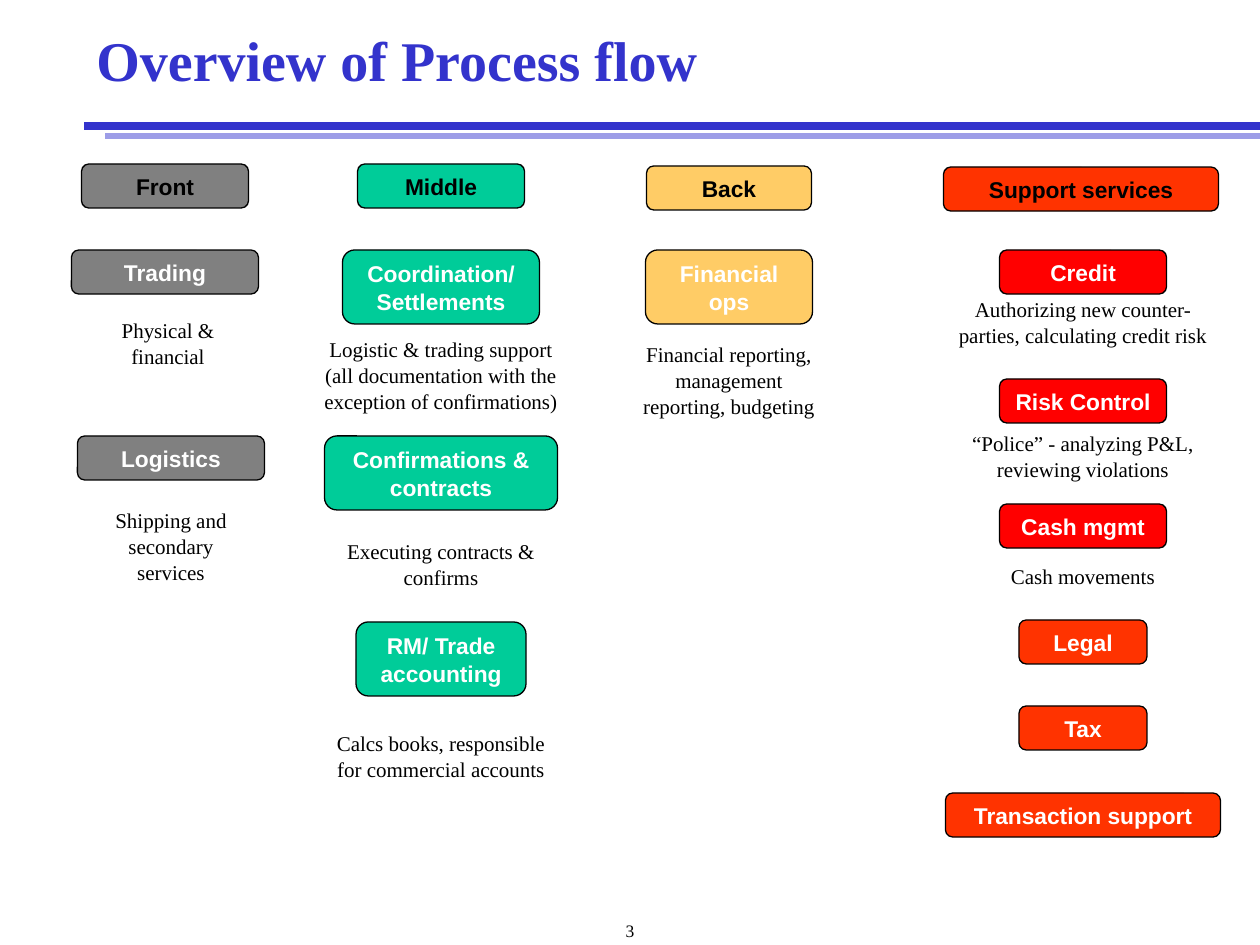
"""Build the process flow overview slide."""
from dataclasses import dataclass

import lxml.etree
import pptx
import pptx.dml.color
import pptx.enum.shapes
import pptx.enum.text
import pptx.oxml.ns
import pptx.util

PIXEL = 914400 / 126
CENTER = pptx.enum.text.PP_ALIGN.CENTER
LEFT = pptx.enum.text.PP_ALIGN.LEFT
TOP = pptx.enum.text.MSO_ANCHOR.TOP
MIDDLE = pptx.enum.text.MSO_ANCHOR.MIDDLE


@dataclass(frozen=True)
class Style:
    font: str
    size: int
    color: str
    bold: bool = False
    spacing: float = 1.0
    align: int = CENTER
    anchor: int = TOP


@dataclass(frozen=True)
class Theme:
    title = Style("Times New Roman", 32, "3333CC", True, 0.9, LEFT, MIDDLE)
    header = Style("Arial", 13, "000000", True, 1.04, anchor=MIDDLE)
    step = Style("Arial", 13, "FFFFFF", True, 1.04, anchor=MIDDLE)
    note = Style("Times New Roman", 12, "000000", spacing=1.04)
    number = Style("Times New Roman", 10, "000000")
    rule = "3333CC"
    rule_light = "9D9DE7"
    outline = "000000"
    front = "808080"
    middle = "00CC99"
    back = "FFCC66"
    support = "FF3300"
    control = "FF0000"


@dataclass(frozen=True)
class Card:
    text: str
    center: int
    top: int
    width: int
    fill: str
    lines: int = 1
    style: Style = Theme.step


@dataclass(frozen=True)
class Note:
    text: str
    center: int
    top: int
    width: int
    lines: int = 2


@dataclass(frozen=True)
class Rule:
    left: int
    top: int
    color: str
    weight: float


RULES = [
    Rule(84, 126, Theme.rule, 4.5),
    Rule(105, 136, Theme.rule_light, 3),
]
CARDS = [
    Card("Front", 165, 164, 167, Theme.front, style=Theme.header),
    Card("Trading", 165, 250, 187, Theme.front),
    Card("Logistics", 171, 436, 187, Theme.front),
    Card("Middle", 441, 164, 167, Theme.middle, style=Theme.header),
    Card("Coordination/ Settlements", 441, 250, 197, Theme.middle, 2),
    Card("Confirmations & contracts", 441, 436, 233, Theme.middle, 2),
    Card("RM/ Trade accounting", 441, 622, 170, Theme.middle, 2),
    Card("Back", 729, 166, 165, Theme.back, style=Theme.header),
    Card("Financial ops", 729, 250, 167, Theme.back, 2),
    Card("Support services", 1081, 167, 275, Theme.support, style=Theme.header),
    Card("Credit", 1083, 250, 167, Theme.control),
    Card("Risk Control", 1083, 379, 167, Theme.control),
    Card("Cash mgmt", 1083, 504, 167, Theme.control),
    Card("Legal", 1083, 620, 128, Theme.support),
    Card("Tax", 1083, 706, 128, Theme.support),
    Card("Transaction support", 1083, 793, 275, Theme.support),
]
NOTES = [
    Note("Physical & financial", 168, 310, 159),
    Note("Shipping and secondary services", 171, 500, 159, 3),
    Note("Logistic & trading support (all documentation with the "
         "exception of confirmations)", 441, 329, 261, 3),
    Note("Executing contracts & confirms", 441, 531, 261),
    Note("Calcs books, responsible for commercial accounts", 441, 723, 261),
    Note("Financial reporting, management reporting, budgeting", 729, 334, 209, 3),
    Note("Authorizing new counter-parties, calculating credit risk", 1083, 289, 299),
    Note("“Police” - analyzing P&L, reviewing violations", 1083, 423, 299),
    Note("Cash movements", 1083, 556, 190, 1),
]


def px(value: float) -> int:
    """Turn pixels into EMU."""
    return round(value * PIXEL)


def rgb(color: str) -> pptx.dml.color.RGBColor:
    """Turn a hex string into a colour."""
    return pptx.dml.color.RGBColor.from_string(color)


def write(box, text: str, style: Style) -> None:
    """Put one styled span of text into a box."""
    frame = box.text_frame
    frame.word_wrap = True
    frame.vertical_anchor = style.anchor
    para = frame.paragraphs[0]
    para.alignment = style.align
    para.line_spacing = style.spacing
    span = para.add_run()
    span.text = text
    span.font.name = style.font
    span.font.size = pptx.util.Pt(style.size)
    span.font.bold = style.bold
    span.font.color.rgb = rgb(style.color)


def draw_text(page, text: str, left: float, top: int, width: int, height: int,
              style: Style) -> None:
    """Draw a plain text box."""
    box = page.shapes.add_textbox(px(left), px(top), px(width), px(height))
    write(box, text, style)


def draw_rule(page, rule: Rule) -> None:
    """Draw a horizontal line running to the right edge."""
    line = page.shapes.add_connector(
        pptx.enum.shapes.MSO_CONNECTOR.STRAIGHT,
        px(1260), px(rule.top), px(rule.left), px(rule.top))
    line.line.color.rgb = rgb(rule.color)
    line.line.width = pptx.util.Pt(rule.weight)
    lxml.etree.SubElement(line._element.spPr, pptx.oxml.ns.qn("a:effectLst"))


def draw_card(page, card: Card) -> None:
    """Draw a rounded, outlined card centred on its column."""
    box = page.shapes.add_shape(
        pptx.enum.shapes.MSO_SHAPE.ROUNDED_RECTANGLE,
        px(card.center - card.width / 2), px(card.top),
        px(card.width), px(14 + 30 * card.lines))
    box.shadow.inherit = False
    box.fill.solid()
    box.fill.fore_color.rgb = rgb(card.fill)
    box.line.color.rgb = rgb(Theme.outline)
    box.line.width = pptx.util.Pt(0.75)
    write(box, card.text, card.style)


def draw_note(page, note: Note) -> None:
    """Draw a description centred on its column."""
    draw_text(page, note.text, note.center - note.width / 2, note.top,
              note.width, 13 + 25 * note.lines, Theme.note)


def main() -> None:
    """Assemble and save the deck."""
    deck = pptx.Presentation()
    deck.slide_width, deck.slide_height = px(1260), px(945)
    page = deck.slides.add_slide(deck.slide_layouts[6])
    for rule in RULES:
        draw_rule(page, rule)
    draw_text(page, "Overview of Process flow", 84, 0, 1144, 126, Theme.title)
    for card in CARDS:
        draw_card(page, card)
    for note in NOTES:
        draw_note(page, note)
    draw_text(page, "3", 0, 914, 1260, 21, Theme.number)
    deck.save("out.pptx")


if __name__ == "__main__":
    main()
